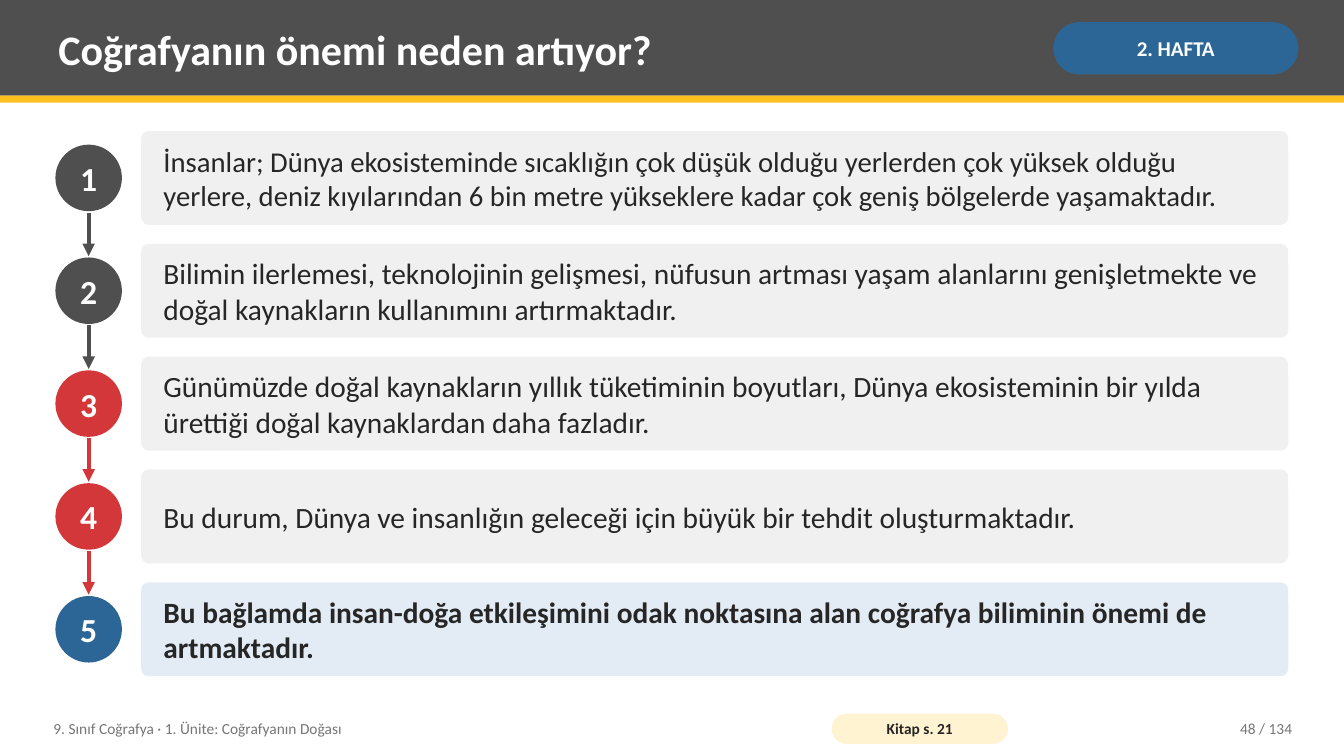
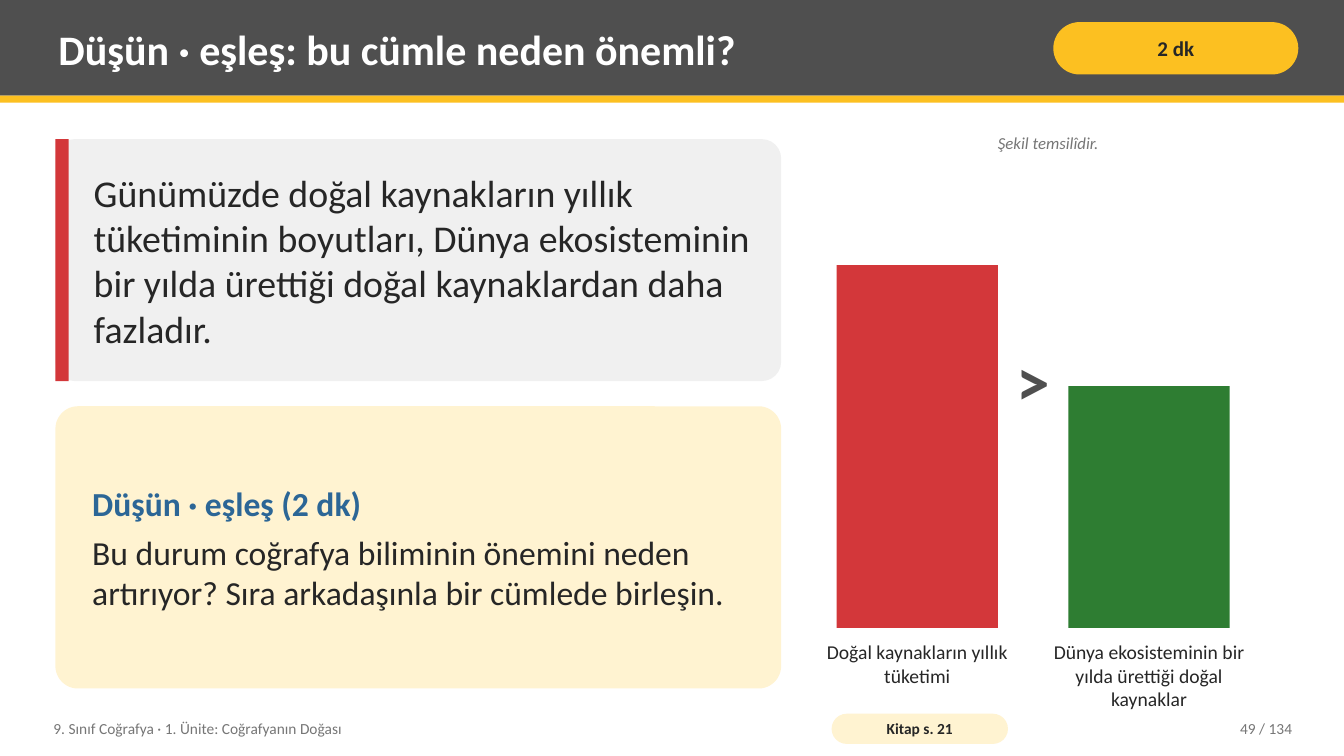
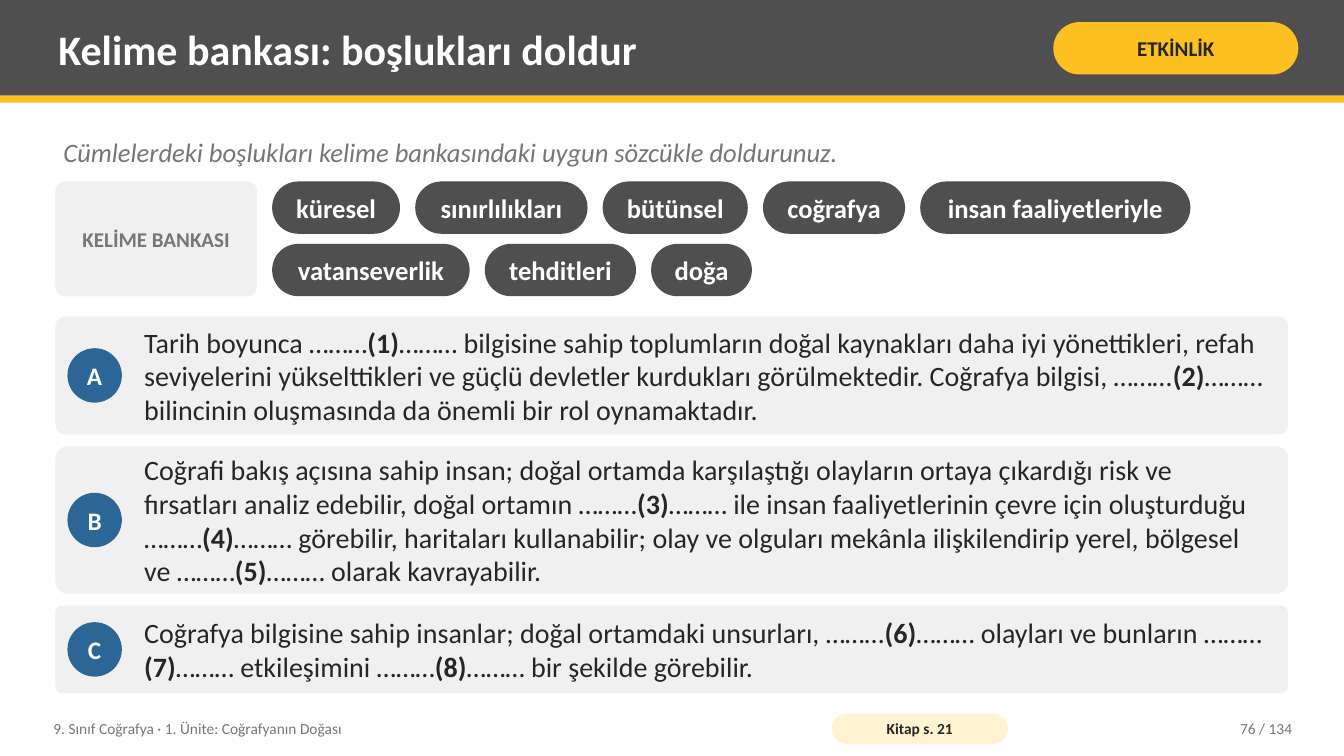
"""Build three geography lesson slides with a shared header and footer."""
import lxml.etree
import pptx
import pptx.dml.color
import pptx.enum.shapes
import pptx.enum.text
import pptx.oxml.ns
import pptx.util

Pt = pptx.util.Pt
SHAPE = pptx.enum.shapes.MSO_SHAPE
ANCHOR = pptx.enum.text.MSO_ANCHOR
ALIGN = pptx.enum.text.PP_ALIGN

FONT = "Calibri"
CHARCOAL, YELLOW, BLUE, RED, GREEN = "4F4F4F", "FCC021", "2C6696", "D3373A", "2E7D32"
INK, MUTED, WHITE = "262626", "767676", "FFFFFF"
PALE_GRAY, PALE_BLUE, PALE_YELLOW = "F0F0F0", "E3ECF5", "FFF3D1"
SLIDE_WIDTH, SLIDE_HEIGHT = 960, 540
MARGIN = 39.6
CONTENT_WIDTH = 880.6
TEXT_INSETS = (5.76, 2.88)
CARD_INSETS = (14.4, 5.76)


def color(hex_code):
    """Turn a hex string into a colour."""
    return pptx.dml.color.RGBColor.from_string(hex_code)


def add_run(paragraph, text, size, ink=INK, bold=False, italic=False):
    """Append one formatted run."""
    run = paragraph.add_run()
    run.text = text
    run.font.name = FONT
    run.font.size = Pt(size)
    run.font.color.rgb = color(ink)
    run.font.bold = bold
    run.font.italic = italic


def write(holder, runs, align=ALIGN.LEFT, insets=TEXT_INSETS, anchor=ANCHOR.MIDDLE, wrap=True):
    """Set up the text frame and fill its first paragraph with runs."""
    frame = holder.text_frame
    frame.word_wrap = wrap
    frame.vertical_anchor = anchor
    frame.margin_left = frame.margin_right = Pt(insets[0])
    frame.margin_top = frame.margin_bottom = Pt(insets[1])
    paragraph = frame.paragraphs[0]
    paragraph.alignment = align
    for run in runs:
        add_run(paragraph, *run)
    return frame


def add_text(slide, box, runs, **layout):
    """Add a text box."""
    holder = slide.shapes.add_textbox(*map(Pt, box))
    write(holder, runs, **layout)


def add_block(slide, kind, box, fill, corner=None):
    """Add a flat filled shape."""
    block = slide.shapes.add_shape(kind, *map(Pt, box))
    block.shadow.inherit = False
    block.fill.solid()
    block.fill.fore_color.rgb = color(fill)
    block.line.fill.background()
    if corner is not None:
        block.adjustments[0] = corner
    return block


def add_card(slide, box, fill=PALE_GRAY):
    """Add a softly rounded panel."""
    return add_block(slide, SHAPE.ROUNDED_RECTANGLE, box, fill, 0.08)


def add_pill(slide, box, fill, text, size, ink, insets):
    """Add a fully rounded label."""
    pill = add_block(slide, SHAPE.ROUNDED_RECTANGLE, box, fill, 0.5)
    write(pill, [(text, size, ink, True)], ALIGN.CENTER, insets)


def add_badge(slide, left, middle, diameter, fill, text, size):
    """Add a round badge centred on a height."""
    box = (left, middle - diameter / 2, diameter, diameter)
    badge = add_block(slide, SHAPE.OVAL, box, fill)
    write(badge, [(text, size, WHITE, True)], ALIGN.CENTER, (0, 0), wrap=False)


def add_down_arrow(slide, x, top, bottom, ink):
    """Add a vertical arrow."""
    arrow = slide.shapes.add_connector(
        pptx.enum.shapes.MSO_CONNECTOR.STRAIGHT, Pt(x), Pt(top), Pt(x), Pt(bottom))
    arrow.line.color.rgb = color(ink)
    arrow.line.width = Pt(3)
    qn = pptx.oxml.ns.qn
    properties = arrow.element.spPr
    lxml.etree.SubElement(properties.find(qn("a:ln")), qn("a:tailEnd"), type="triangle")
    lxml.etree.SubElement(properties, qn("a:effectLst"))


def add_lesson_slide(deck, title, tag, tag_fill, tag_ink, page):
    """Add a slide with its header and footer."""
    slide = deck.slides.add_slide(deck.slide_layouts[6])
    add_block(slide, SHAPE.RECTANGLE, (0, 0, SLIDE_WIDTH, 68.4), CHARCOAL)
    add_block(slide, SHAPE.RECTANGLE, (0, 68.4, SLIDE_WIDTH, 5), YELLOW)
    add_text(slide, (36, 5, 702, 59), [(title, 30, WHITE, True)])
    add_pill(slide, (752.4, 15.8, 175, 37.4), tag_fill, tag, 15, tag_ink, (3.6, 1.44))
    add_text(slide, (32.4, 507, 547, 26),
             [("9. Sınıf Coğrafya · 1. Ünite: Coğrafyanın Doğası", 11, MUTED)])
    add_pill(slide, (594, 509.8, 126, 21.6), PALE_YELLOW, "Kitap s. 21", 11, INK, (2.88, 0))
    add_text(slide, (813.6, 507, 115.2, 26), [(f"{page} / 134", 11, MUTED)], align=ALIGN.RIGHT)
    return slide


def build_importance(deck):
    """Build the chain of five reasons."""
    slide = add_lesson_slide(deck, "Coğrafyanın önemi neden artıyor?", "2. HAFTA", BLUE, WHITE, 48)
    reasons = [
        ("İnsanlar; Dünya ekosisteminde sıcaklığın çok düşük olduğu yerlerden çok yüksek olduğu "
         "yerlere, deniz kıyılarından 6 bin metre yükseklere kadar çok geniş bölgelerde "
         "yaşamaktadır.", 20.5, CHARCOAL),
        ("Bilimin ilerlemesi, teknolojinin gelişmesi, nüfusun artması yaşam alanlarını "
         "genişletmekte ve doğal kaynakların kullanımını artırmaktadır.", 21, CHARCOAL),
        ("Günümüzde doğal kaynakların yıllık tüketiminin boyutları, Dünya ekosisteminin bir yılda "
         "ürettiği doğal kaynaklardan daha fazladır.", 21, RED),
        ("Bu durum, Dünya ve insanlığın geleceği için büyük bir tehdit oluşturmaktadır.", 21, RED),
        ("Bu bağlamda insan-doğa etkileşimini odak noktasına alan coğrafya biliminin önemi de "
         "artmaktadır.", 21, BLUE),
    ]
    first_top, pitch, height, diameter = 93.6, 80.6, 67, 47.5
    for index, (reason, size, accent) in enumerate(reasons):
        top = first_top + index * pitch
        middle = top + height / 2
        is_last = index == len(reasons) - 1
        add_badge(slide, MARGIN, middle, diameter, accent, str(index + 1), 24)
        card = add_card(slide, (100.8, top, 819.4, height), PALE_BLUE if is_last else PALE_GRAY)
        write(card, [(reason, size, INK, is_last)], insets=CARD_INSETS)
        if not is_last:
            add_down_arrow(slide, MARGIN + diameter / 2, middle + diameter / 2 + 1,
                           middle + pitch - diameter / 2 - 1, accent)


def build_think_pair(deck):
    """Build the think and pair prompt with its bar comparison."""
    slide = add_lesson_slide(deck, "Düşün · eşleş: bu cümle neden önemli?", "2 dk", YELLOW, INK, 49)
    quote_top, quote_height = 99.4, 172.8
    add_card(slide, (MARGIN, quote_top, 518.4, quote_height))
    add_block(slide, SHAPE.RECTANGLE, (MARGIN, quote_top, 9.4, quote_height), RED)
    quote = ("Günümüzde doğal kaynakların yıllık tüketiminin boyutları, Dünya ekosisteminin "
             "bir yılda ürettiği doğal kaynaklardan daha fazladır.")
    add_text(slide, (61.2, quote_top, 486, quote_height), [(quote, 27)])

    prompt = add_card(slide, (MARGIN, 290.2, 518.4, 201.6), PALE_YELLOW)
    frame = write(prompt, [("Düşün · eşleş (2 dk)", 24, BLUE, True)], insets=(21.6, 5.76))
    frame.paragraphs[0].space_after = Pt(6)
    question = frame.add_paragraph()
    question.alignment = ALIGN.LEFT
    add_run(question, "Bu durum coğrafya biliminin önemini neden artırıyor? "
                      "Sıra arkadaşınla bir cümlede birleşin.", 24)

    centered = {"align": ALIGN.CENTER, "anchor": ANCHOR.TOP}
    baseline, bar_width, overhang = 448.6, 115.2, 18
    bars = [
        (597.6, 259.2, RED, "Doğal kaynakların yıllık tüketimi"),
        (763.2, 172.8, GREEN, "Dünya ekosisteminin bir yılda ürettiği doğal kaynaklar"),
    ]
    for left, height, fill, label in bars:
        add_block(slide, SHAPE.RECTANGLE, (left, baseline - height, bar_width, height), fill)
        add_text(slide, (left - overhang, baseline + 5.7, bar_width + 2 * overhang, 68.4),
                 [(label, 14)], **centered)
    add_text(slide, (709.2, 239.8, 57.6, 64.8), [(">", 48, CHARCOAL, True)], **centered)
    add_text(slide, (579.6, 92.2, 338.4, 28.8),
             [("Şekil temsilîdir.", 12, MUTED, False, True)], **centered)


def build_word_bank(deck):
    """Build the fill-in activity with its word bank."""
    slide = add_lesson_slide(deck, "Kelime bankası: boşlukları doldur", "ETKİNLİK", YELLOW, INK, 76)
    instruction = "Cümlelerdeki boşlukları kelime bankasındaki uygun sözcükle doldurunuz."
    add_text(slide, (MARGIN, 92.2, CONTENT_WIDTH, 32.4), [(instruction, 19, MUTED, False, True)])

    bank_top = 129.6
    bank = add_card(slide, (MARGIN, bank_top, 144, 82.1))
    write(bank, [("KELİME BANKASI", 15, MUTED, True)], ALIGN.CENTER, (10.1, 5.76))
    word_rows = [
        [("küresel", 91.4), ("sınırlılıkları", 123.1), ("bütünsel", 103.7), ("coğrafya", 101.5),
         ("insan faaliyetleriyle", 193)],
        [("vatanseverlik", 141.1), ("tehditleri", 108), ("doğa", 72)],
    ]
    for row, words in enumerate(word_rows):
        left = 194.4
        for word, width in words:
            box = (left, bank_top + row * 44.6, width, 37.4)
            add_pill(slide, box, CHARCOAL, word, 19, WHITE, (7.2, 0))
            left += width + 10.8

    passages = [
        ("A", 84.2, "Tarih boyunca ………|(1)|……… bilgisine sahip toplumların doğal kaynakları daha "
         "iyi yönettikleri, refah seviyelerini yükselttikleri ve güçlü devletler kurdukları "
         "görülmektedir. Coğrafya bilgisi, ………|(2)|……… bilincinin oluşmasında da önemli bir rol "
         "oynamaktadır."),
        ("B", 105.1, "Coğrafi bakış açısına sahip insan; doğal ortamda karşılaştığı olayların "
         "ortaya çıkardığı risk ve fırsatları analiz edebilir, doğal ortamın ………|(3)|……… ile "
         "insan faaliyetlerinin çevre için oluşturduğu ………|(4)|……… görebilir, haritaları "
         "kullanabilir; olay ve olguları mekânla ilişkilendirip yerel, bölgesel ve "
         "………|(5)|……… olarak kavrayabilir."),
        ("C", 62.6, "Coğrafya bilgisine sahip insanlar; doğal ortamdaki unsurları, ………|(6)|……… "
         "olayları ve bunların ………|(7)|……… etkileşimini ………|(8)|……… bir şekilde görebilir."),
    ]
    top = 226.1
    for letter, height, passage in passages:
        add_card(slide, (MARGIN, top, CONTENT_WIDTH, height))
        add_badge(slide, 48.2, top + height / 2, 38.9, BLUE, letter, 18)
        runs = [(part, 20, INK, index % 2 == 1) for index, part in enumerate(passage.split("|"))]
        add_text(slide, (97.2, top, 812.2, height), runs)
        top += height + 8.6


def main():
    """Build and save the deck."""
    deck = pptx.Presentation()
    deck.slide_width = Pt(SLIDE_WIDTH)
    deck.slide_height = Pt(SLIDE_HEIGHT)
    build_importance(deck)
    build_think_pair(deck)
    build_word_bank(deck)
    deck.save("out.pptx")


if __name__ == "__main__":
    main()
